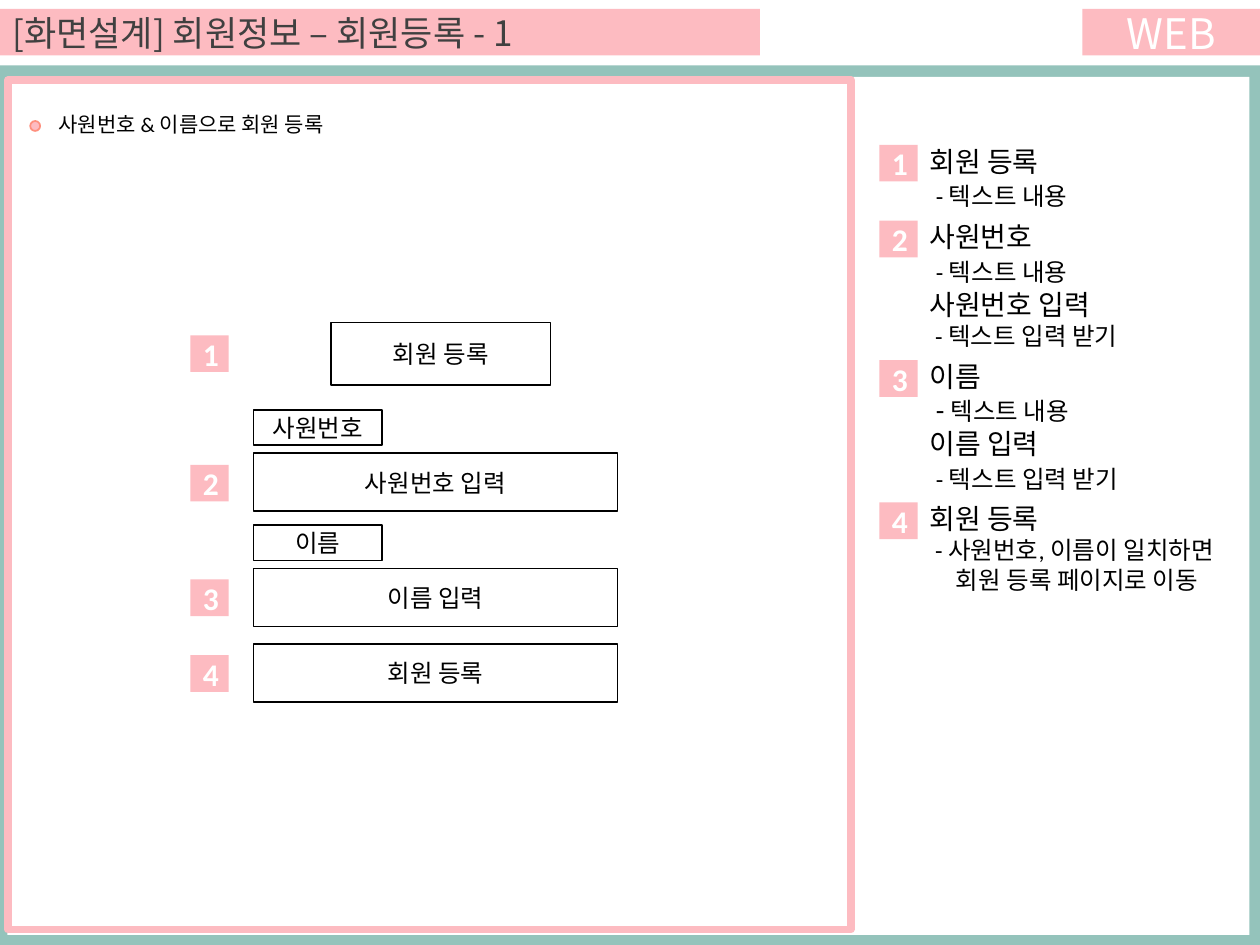
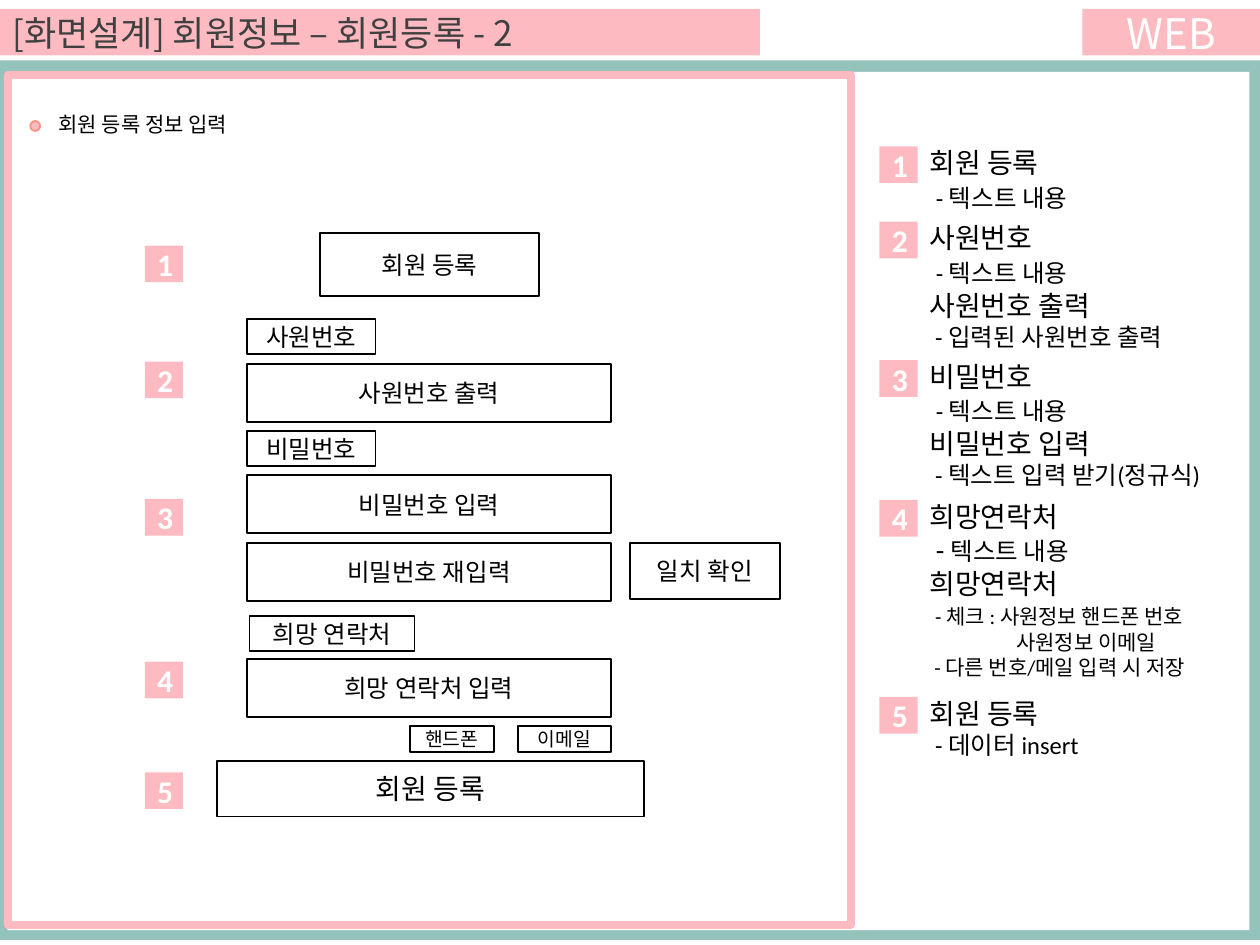
"""Builds two screen-design slides for member registration."""
from pptx import Presentation
from pptx.dml.color import RGBColor
from pptx.enum import shapes, text
from pptx.util import Cm, Pt

PINK, TEAL, CORAL = "FDBBC1", "94C3BB", "FE907E"
WHITE, BLACK, GREY = "FFFFFF", "000000", "404040"
BODY, TITLE = "Calibri", "Noto Sans CJK KR"
LEFT, MID = text.PP_ALIGN.LEFT, text.PP_ALIGN.CENTER


def tint(code):
    """Turn a hex string into a colour."""
    return RGBColor.from_string(code)


def head(words):
    """Return a note heading as (runs, indent)."""
    return [(words, 16)], 0


def sub(words, lead="", size=14, dent=0):
    """Return a note detail, with a lead two points larger, as (runs, indent)."""
    runs = [(lead, size + 2)] if lead else []
    return runs + [(words, size)], dent


def write(frame, lines, size=14, color=BLACK, font=BODY, bold=False,
          align=MID, anchor=text.MSO_ANCHOR.MIDDLE):
    """Fill a text frame with a string or a list of (runs, indent) lines."""
    if isinstance(lines, str):
        lines = [([(lines, size)], 0)]
    frame.word_wrap = True
    frame.vertical_anchor = anchor
    for i, (runs, dent) in enumerate(lines):
        para = frame.paragraphs[0] if i == 0 else frame.add_paragraph()
        para.alignment = align
        if dent:
            para._p.get_or_add_pPr().set("marL", str(Cm(dent)))
        for words, points in runs:
            run = para.add_run()
            run.text = words
            run.font.size = Pt(points)
            run.font.name = font
            run.font.bold = bold
            run.font.color.rgb = tint(color)


class Deck:
    """Hold the style and the current slide."""

    def __init__(self):
        """Start an empty deck."""
        self.file = Presentation()
        self.file.slide_width, self.file.slide_height = Cm(25.4), Cm(19.05)

    def page(self, title, topic, top):
        """Add a slide with its frame, title band and topic line."""
        self.slide = self.file.slides.add_slide(self.file.slide_layouts[6])
        self.shape(0, top, 25.4, 17.73, TEAL)
        self.shape(0.15, top + 0.23, 25.04, 17.3, WHITE)
        self.shape(0.16, top + 0.3, 16.99, 17.12, line=PINK, width=4.5)
        self.shape(0.61, 2.44, 0.2, 0.2, PINK, CORAL, kind="OVAL")
        self.label(0.84, 2.13, 9.8, 0.76, " " + topic, size=12)
        self.band(0, 15.32, title, size=20, color=GREY, align=LEFT)
        self.band(21.82, 3.58, "WEB", size=24, color=WHITE)

    def shape(self, x, y, w, h, fill=None, line=None, width=1, kind="RECTANGLE"):
        """Add a preset shape."""
        item = self.slide.shapes.add_shape(
            getattr(shapes.MSO_SHAPE, kind), Cm(x), Cm(y), Cm(w), Cm(h))
        item.shadow.inherit = False
        if fill:
            item.fill.solid()
            item.fill.fore_color.rgb = tint(fill)
        else:
            item.fill.background()
        if line:
            item.line.color.rgb = tint(line)
            item.line.width = Pt(width)
        else:
            item.line.fill.background()
        return item

    def label(self, x, y, w, h, lines, **style):
        """Add a left-aligned text box."""
        frame = self.slide.shapes.add_textbox(Cm(x), Cm(y), Cm(w), Cm(h)).text_frame
        write(frame, lines, align=LEFT, anchor=text.MSO_ANCHOR.TOP, **style)
        frame.auto_size = text.MSO_AUTO_SIZE.SHAPE_TO_FIT_TEXT

    def band(self, x, w, words, **style):
        """Add a pink band at the top of the slide."""
        write(self.shape(x, 0.18, w, 0.94, PINK).text_frame, words, font=TITLE, **style)

    def badge(self, x, y, num):
        """Add a numbered marker."""
        write(self.shape(x, y, 0.77, 0.74, PINK).text_frame, str(num),
              size=18, color=WHITE, bold=True)

    def box(self, x, y, w, h, words, size=14):
        """Add an outlined box."""
        write(self.shape(x, y, w, h, WHITE, BLACK).text_frame, words, size=size)

    def form(self, x, tags, fields):
        """Add the small name tags and wide fields of a form."""
        for y, words in tags:
            self.box(x, y, 2.59, 0.71, words)
        for y, words in fields:
            self.box(x, y, 7.34, 1.17, words)

    def marks(self, x, tops):
        """Add a column of numbered markers."""
        for num, y in enumerate(tops, 1):
            self.badge(x, y, num)

    def notes(self, items):
        """Add the numbered notes on the right."""
        self.marks(17.73, [y for y, h, lines in items])
        for y, h, lines in items:
            self.label(18.49, y - 0.14, 6.73, h, lines)


def main():
    """Build and save the deck."""
    deck = Deck()
    plain = sub("- 텍스트 내용", " ")
    wide = sub("텍스트 내용", " - ")

    deck.page("[화면설계] 회원정보 – 회원등록 - 1", "사원번호 & 이름으로 회원 등록", 1.32)
    deck.marks(3.84, [6.76, 9.37, 11.68, 13.21])
    deck.box(6.68, 6.5, 4.42, 1.27, "회원 등록")
    deck.form(5.11, [(8.26, "사원번호"), (10.59, "이름")],
              [(9.14, "사원번호 입력"), (11.46, "이름 입력"), (12.98, "회원 등록")])
    deck.notes([
        (2.92, 1.63, [head("회원 등록"), plain]),
        (4.45, 2.9, [head("사원번호"), plain,
                     head("사원번호 입력"), sub(" - 텍스트 입력 받기")]),
        (7.26, 3.0, [head("이름"), wide,
                     head("이름 입력"), sub("- 텍스트 입력 받기", " ")]),
        (10.13, 2.13, [head("회원 등록"), sub(" - 사원번호, 이름이 일치하면"),
                       sub("회원 등록 페이지로 이동", dent=0.53)]),
    ])

    deck.page("[화면설계] 회원정보 – 회원등록 - 2", "회원 등록 정보 입력", 1.22)
    deck.marks(2.92, [4.95, 7.29, 10.06, 13.34, 15.57])
    deck.box(6.45, 4.7, 4.42, 1.27, "회원 등록")
    deck.form(4.98, [(6.43, "사원번호"), (8.69, "비밀번호")],
              [(7.34, "사원번호 출력"), (9.58, "비밀번호 입력"),
               (10.95, "비밀번호 재입력"), (13.28, "희망 연락처 입력")])
    deck.box(5.03, 12.42, 3.33, 0.71, "희망 연락처")
    deck.box(12.7, 10.95, 3.02, 1.12, "일치 확인")
    deck.box(8.26, 14.63, 1.7, 0.53, "핸드폰", size=11)
    deck.box(10.44, 14.63, 1.88, 0.53, "이메일", size=11)
    deck.box(4.37, 15.34, 8.61, 1.12, "회원 등록", size=16)
    deck.notes([
        (2.95, 1.63, [head("회원 등록"), plain]),
        (4.47, 2.9, [head("사원번호"), plain,
                     head("사원번호 출력"), sub(" - 입력된 사원번호 출력")]),
        (7.26, 2.9, [head("비밀번호"), plain,
                     head("비밀번호 입력"), sub(" - 텍스트 입력 받기(정규식)")]),
        (10.08, 3.94, [head("희망연락처"), wide, head("희망연락처"),
                       sub("- 체크 : 사원정보 핸드폰 번호", " ", 12),
                       sub("사원정보 이메일", size=12, dent=1.75),
                       sub(" - 다른 번호/메일 입력 시 저장", size=12)]),
        (14.05, 1.55, [head("회원 등록"), sub(" - 데이터 insert")]),
    ])
    deck.file.save("out.pptx")


if __name__ == "__main__":
    main()
